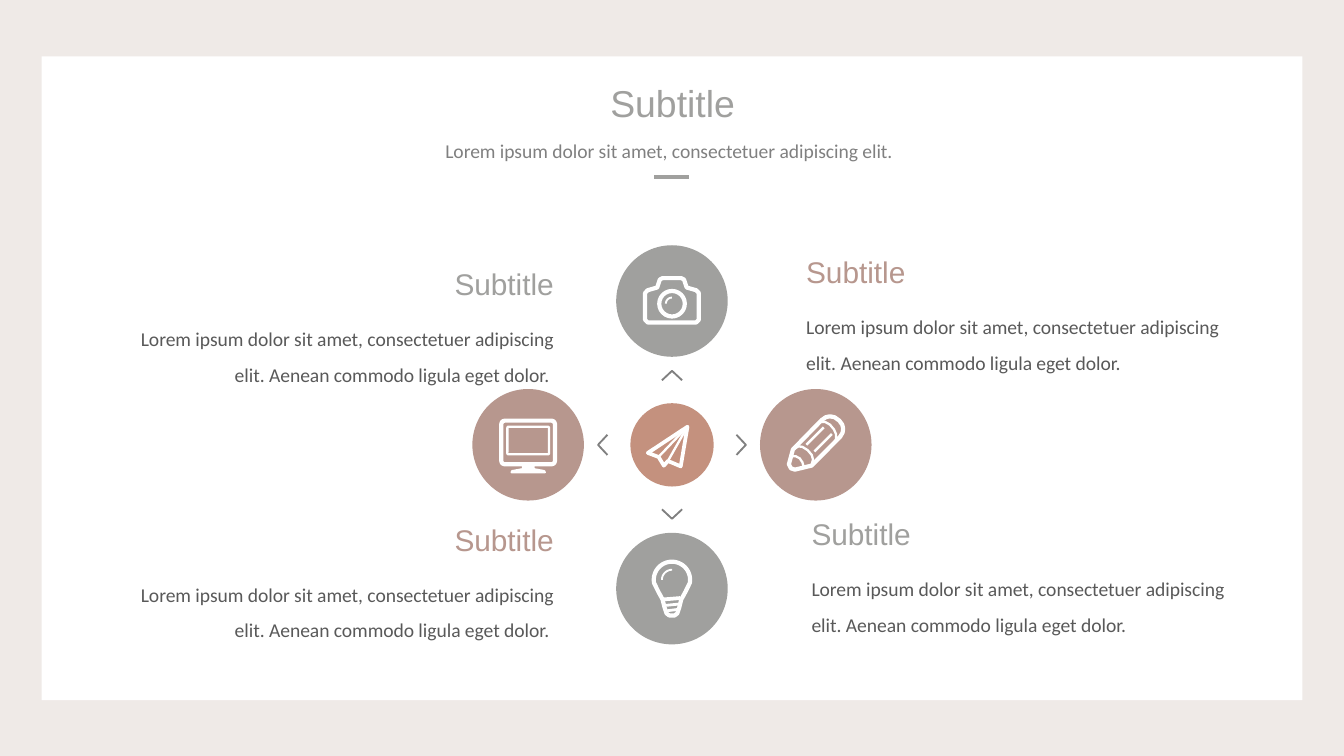
import math

from lxml import etree
from pptx import Presentation
from pptx.dml.color import RGBColor
from pptx.enum.shapes import MSO_CONNECTOR, MSO_SHAPE
from pptx.enum.text import MSO_ANCHOR, PP_ALIGN
from pptx.oxml.ns import qn
from pptx.util import Inches, Pt

WIDTH = 10
HEIGHT = WIDTH * 9 / 16
TITLE_ONLY = 5
OVAL, RECTANGLE, ROUNDED = MSO_SHAPE.OVAL, MSO_SHAPE.RECTANGLE, MSO_SHAPE.ROUNDED_RECTANGLE
LEFT, CENTER, RIGHT = PP_ALIGN.LEFT, PP_ALIGN.CENTER, PP_ALIGN.RIGHT
COLORS = {"background": "EFEAE7", "panel": "FFFFFF", "gray": "A0A09E", "rose": "B7978E",
          "hub": "C4917E", "chevron": "808080", "caption": "808080", "body": "595959"}
HEADING_FONT, BODY_FONT = "Arial", "Calibri"
HUB = (WIDTH / 2, 3.31)
HUB_SIZE, NODE_SIZE, NODE_DISTANCE = 0.62, 0.83, 1.07
HEADING_HEIGHT = 0.37
BODY = ("Lorem ipsum dolor sit amet, consectetuer adipiscing elit. "
        "Aenean commodo ligula eget dolor.")


def color(name):
    return RGBColor.from_string(COLORS[name])


def add_filled(shapes, kind, left, top, width, height, fill):
    shape = shapes.add_shape(kind, *map(Inches, (left, top, width, height)))
    shape.shadow.inherit = False
    shape.fill.solid()
    shape.fill.fore_color.rgb = color(fill)
    shape.line.fill.background()
    return shape


def add_disc(shapes, center, size, fill):
    add_filled(shapes, OVAL, center[0] - size / 2, center[1] - size / 2, size, size, fill)


def format_outline(shape, weight, line_color="panel"):
    shape.shadow.inherit = False
    shape.fill.background()
    shape.line.color.rgb = color(line_color)
    shape.line.width = Pt(weight)


def add_path(shapes, center, points, weight, closed=False, line_color="panel"):
    """Draw a line through points given in hundredths of an inch from the center."""
    placed = [(Inches(center[0] + x / 100), Inches(center[1] + y / 100)) for x, y in points]
    builder = shapes.build_freeform(*placed[0], scale=1.0)
    builder.add_line_segments(placed[1:], close=closed)
    shape = builder.convert_to_shape()
    format_outline(shape, weight, line_color)
    return shape


def add_frame(shapes, kind, center, box, weight):
    """Outline a preset shape; box is left, top, right, bottom in hundredths of an inch."""
    left, top, right, bottom = (side / 100 for side in box)
    shape = shapes.add_shape(kind, Inches(center[0] + left), Inches(center[1] + top),
                             Inches(right - left), Inches(bottom - top))
    format_outline(shape, weight)
    return shape


def arc(middle, radius, start, end, steps=24):
    angles = [math.radians(start + (end - start) * step / steps) for step in range(steps + 1)]
    return [(middle[0] + radius * math.cos(angle), middle[1] + radius * math.sin(angle))
            for angle in angles]


def mirrored(points):
    """Complete a left half with its reflection in the vertical axis."""
    return points + [(-x, y) for x, y in reversed(points)]


def draw_camera(shapes, center):
    body = [(-18, 16), (-20, 14), (-20, -6), (-18, -8), (-11, -10), (-9, -16), (-7, -17)]
    add_path(shapes, center, mirrored(body), 2.25, closed=True)
    add_frame(shapes, OVAL, center, (-9.5, -7.5, 9.5, 11.5), 2.25)
    add_path(shapes, center, arc((0, 2), 4.5, 180, 270), 1)


def draw_monitor(shapes, center):
    case = add_frame(shapes, ROUNDED, center, (-20, -18, 20, 14.5), 2.25)
    case.adjustments[0] = 0.08
    screen = add_frame(shapes, ROUNDED, center, (-15.5, -13.5, 15.5, 7), 1.25)
    screen.adjustments[0] = 0.04
    stand = add_path(shapes, center, mirrored([(-12.5, 20.5), (-12, 19.5), (-4, 18), (-4, 15)]),
                     1, closed=True)
    stand.fill.solid()
    stand.fill.fore_color.rgb = color("panel")


def draw_pencil(shapes, center):
    outline = [(-20, 14.5), (-17, 3.5), (4.5, -18.5), (7.5, -20.5), (10.5, -21.2), (14, -20.5),
               (17.5, -18), (19.7, -15), (20.4, -12), (20, -9), (18.2, -6), (-3, 15.5),
               (-15.5, 18.5), (-18.5, 17.5)]
    add_path(shapes, center, outline, 2.25, closed=True)
    details = [
        [(3, -17), (7, -17), (10.5, -15), (13.5, -11.5), (15, -8), (15, -4)],
        [(-16, 3), (-13, 1.2), (-10, 1.5), (-6, 4), (-3, 7.5), (-2, 11), (-3, 14.5)],
        [(-18, 8.5), (-15, 8.5), (-12, 10), (-10, 13), (-9, 16.5)],
        [(-7, 0), (6, -13)],
        [(-1, 5), (12, -8)],
    ]
    for points in details:
        add_path(shapes, center, points, 1.25)


def draw_bulb(shapes, center):
    glass = arc((0, -6.5), 13.5, 270, 170)
    base = [(-10, 2.5), (-7, 8), (-5.5, 14), (-4, 18.5), (-2, 20)]
    add_path(shapes, center, mirrored(glass + base), 2.25, closed=True)
    for half_width, height, weight in ((6, 8, 2), (5, 12.5, 1.5), (4, 16.5, 1.5)):
        add_path(shapes, center, [(-half_width, height), (half_width, height - 1)], weight)
    add_path(shapes, center, arc((0, -6.5), 7.5, 180, 270), 1)


def draw_plane(shapes, center):
    nose, inner_fold, outer_fold = (11.5, -13.5), (-10, 9), (-3, 12)
    outline = [nose, (6.5, 16), outer_fold, (-6, 15.5), inner_fold, (-18, 6)]
    add_path(shapes, center, outline, 2, closed=True)
    for fold in (inner_fold, outer_fold):
        add_path(shapes, center, [nose, fold], 1.25)


def add_chevron(shapes, direction):
    across, down = direction
    points = [(48 * across - side * down, 48 * down + side * across) for side in (-7.5, 7.5)]
    points.insert(1, (55 * across, 55 * down))
    add_path(shapes, HUB, points, 1, line_color="chevron")


def format_text(shape, text, size, font, text_color, align, wrap=True, spacing=None):
    frame = shape.text_frame
    frame.text = text
    frame.word_wrap = wrap
    frame.vertical_anchor = MSO_ANCHOR.TOP
    paragraph = frame.paragraphs[0]
    paragraph.alignment = align
    if spacing:
        paragraph.line_spacing = spacing
    paragraph.font.size = Pt(size)
    paragraph.font.name = font
    paragraph.font.color.rgb = color(text_color)


def add_text(shapes, left, top, width, height, *style, **options):
    box = shapes.add_textbox(*map(Inches, (left, top, width, height)))
    format_text(box, *style, **options)


def add_header(shapes):
    title = shapes.title
    title.left, title.top, title.width, title.height = map(Inches, (4.44, 0.55, 1.13, 0.44))
    format_text(title, "Subtitle", 20, HEADING_FONT, "gray", CENTER, wrap=False)
    add_text(shapes, 3, 0.9, 3.99, 0.34,
             "Lorem ipsum dolor sit amet, consectetuer adipiscing elit. ",
             10.5, BODY_FONT, "caption", CENTER, spacing=1.5)
    rule = shapes.add_connector(MSO_CONNECTOR.STRAIGHT, *map(Inches, (4.87, 1.32, 5.13, 1.32)))
    rule.line.color.rgb = color("gray")
    rule.line.width = Pt(2.25)
    etree.SubElement(rule.element.spPr, qn("a:effectLst"))


def add_topic(shapes, left, top, heading_color, align):
    body_width, heading_width = 3.34, 0.94
    heading_left, body = left, BODY
    if align == RIGHT:
        heading_left, body = left + body_width - heading_width, BODY + " "
    add_text(shapes, heading_left, top, heading_width, HEADING_HEIGHT,
             "Subtitle", 16, HEADING_FONT, heading_color, align, wrap=False)
    add_text(shapes, left, top + HEADING_HEIGHT, body_width, 0.6,
             body, 10.5, BODY_FONT, "body", align, spacing=1.5)


def main():
    presentation = Presentation()
    presentation.slide_width, presentation.slide_height = Inches(WIDTH), Inches(HEIGHT)
    slide = presentation.slides.add_slide(presentation.slide_layouts[TITLE_ONLY])
    slide.background.fill.solid()
    slide.background.fill.fore_color.rgb = color("background")
    shapes = slide.shapes

    panel = add_filled(shapes, RECTANGLE, 0.31, 0.42, 9.38, 4.79, "panel")
    shapes.title.element.addprevious(panel.element)
    add_header(shapes)

    add_disc(shapes, HUB, HUB_SIZE, "hub")
    draw_plane(shapes.add_group_shape().shapes, HUB)
    nodes = [((0, -1), "gray", draw_camera), ((1, 0), "rose", draw_pencil),
             ((0, 1), "gray", draw_bulb), ((-1, 0), "rose", draw_monitor)]
    for direction, fill, draw_icon in nodes:
        center = [start + NODE_DISTANCE * step for start, step in zip(HUB, direction)]
        add_disc(shapes, center, NODE_SIZE, fill)
        draw_icon(shapes.add_group_shape().shapes, center)
        add_chevron(shapes, direction)

    topics = [(0.88, 1.93, "gray", RIGHT), (0.88, 3.83, "rose", RIGHT),
              (5.9, 1.84, "rose", LEFT), (5.94, 3.79, "gray", LEFT)]
    for topic in topics:
        add_topic(shapes, *topic)
    presentation.save("out.pptx")


if __name__ == "__main__":
    main()
